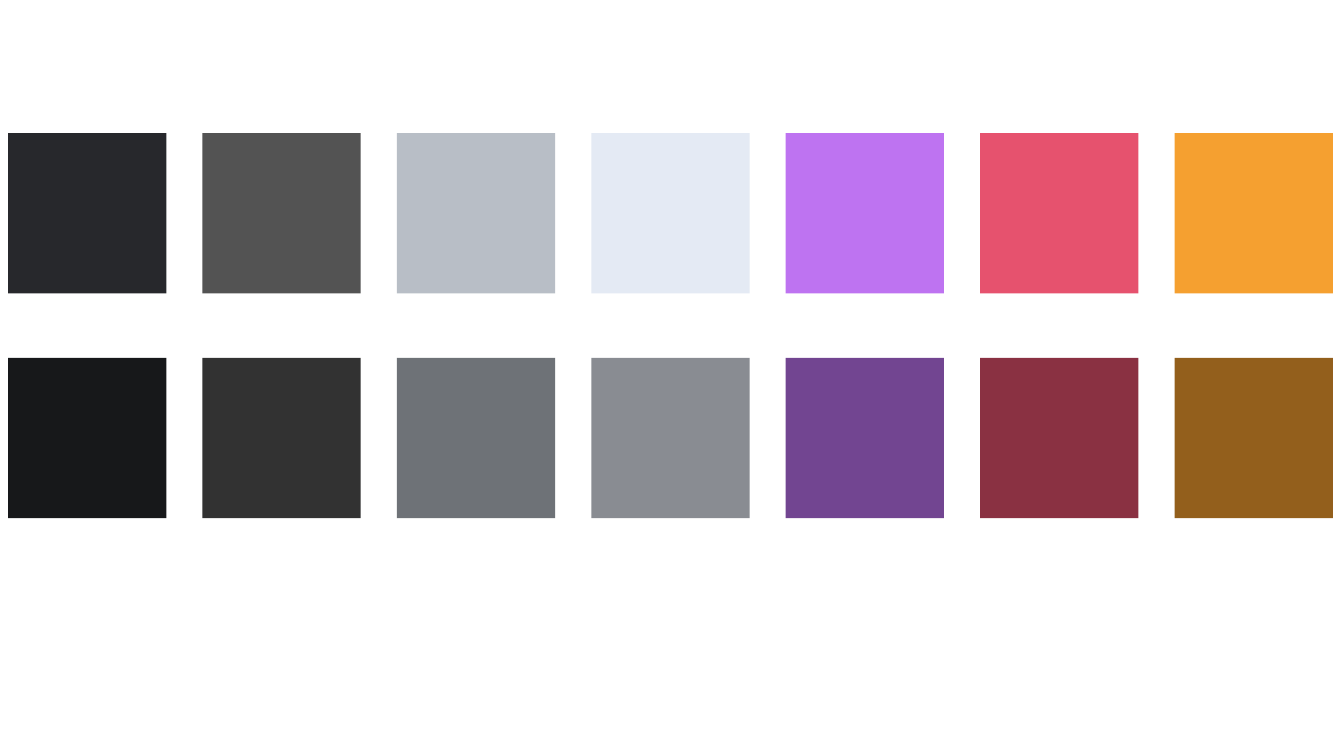
from collections import namedtuple

from pptx import Presentation
from pptx.dml.color import RGBColor
from pptx.enum.shapes import MSO_SHAPE
from pptx.util import Inches

PX = Inches(1) // 100
Box = namedtuple("Box", "left top width height")

# Each hue has a base tone and a dark tone
COLOURS = {
    "ink": ("27282C", "17181A"),
    "charcoal": ("535353", "323232"),
    "silver": ("B8BEC6", "6E7277"),
    "mist": ("E4EAF4", "898C92"),
    "violet": ("BE73F1", "724591"),
    "rose": ("E6526E", "8A3142"),
    "amber": ("F5A030", "935F1C"),
}
SWATCH_WIDTH, SWATCH_HEIGHT = 157, 159


def add_swatch(page, box, colour):
    swatch = page.shapes.add_shape(
        MSO_SHAPE.RECTANGLE, *(round(length * PX) for length in box))
    swatch.shadow.inherit = False
    swatch.fill.solid()
    swatch.fill.fore_color.rgb = RGBColor.from_string(colour)
    swatch.line.fill.background()


def add_palette(page, box):
    """Spread hues across the box, with base tones above dark tones."""
    column_step = (box.width - SWATCH_WIDTH) / (len(COLOURS) - 1)
    row_step = box.height - SWATCH_HEIGHT
    for column, tones in enumerate(COLOURS.values()):
        for row, colour in enumerate(tones):
            place = Box(box.left + column * column_step,
                        box.top + row * row_step,
                        SWATCH_WIDTH, SWATCH_HEIGHT)
            add_swatch(page, place, colour)


def main():
    deck = Presentation()
    deck.slide_width, deck.slide_height = 1333 * PX, 750 * PX

    # Blank page with the colour palette
    page = deck.slides.add_slide(deck.slide_layouts[6])
    add_palette(page, Box(8, 132, 1314, 382))
    deck.save("out.pptx")


if __name__ == "__main__":
    main()
